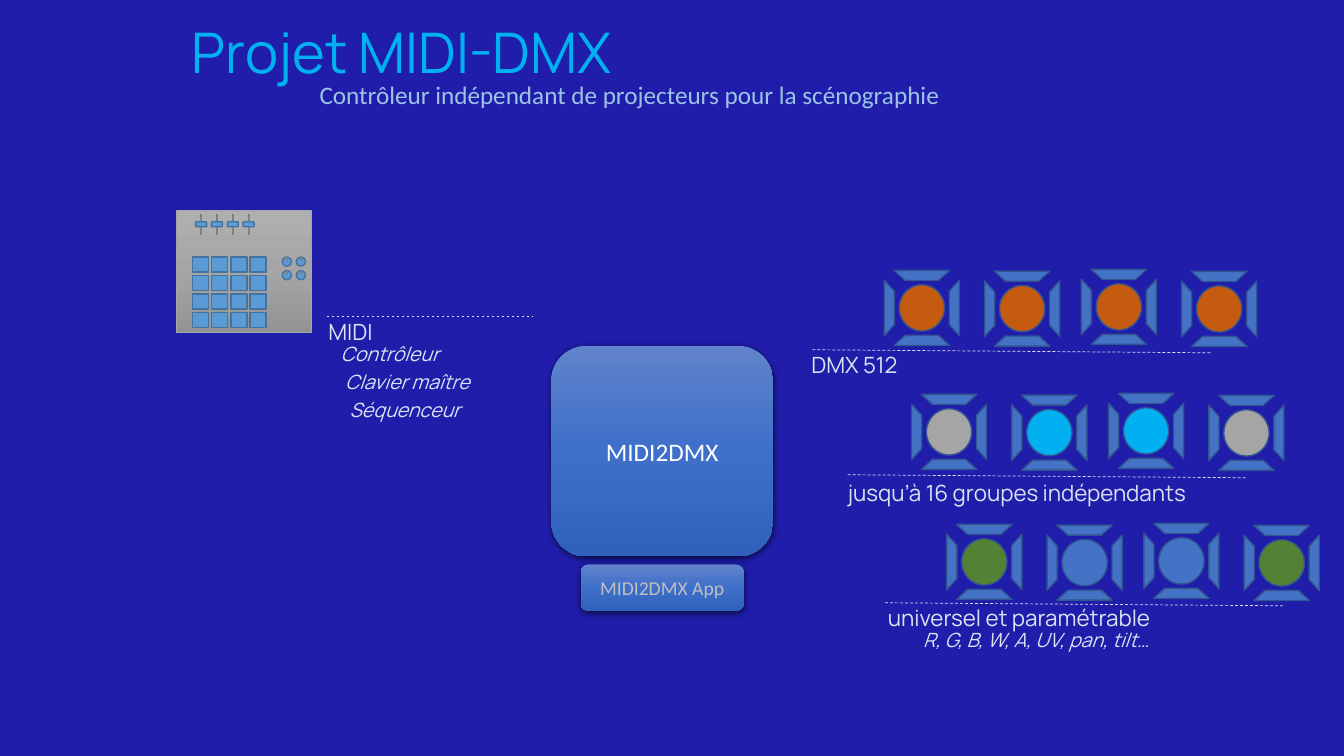
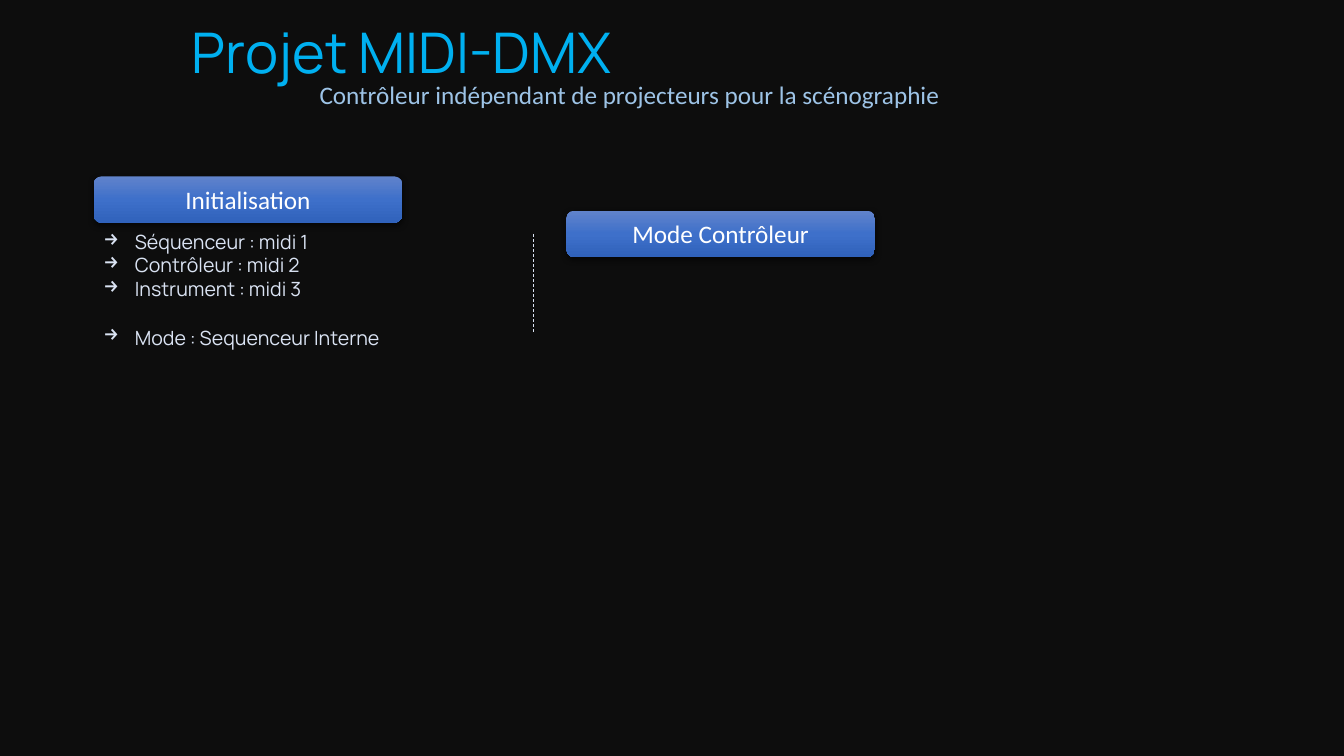
from copy import deepcopy
from dataclasses import dataclass
from math import cos, radians, sin
from typing import NamedTuple

from lxml.etree import SubElement
from pptx import Presentation
from pptx.dml.color import RGBColor
from pptx.enum.dml import MSO_LINE
from pptx.enum.shapes import MSO_CONNECTOR, MSO_SHAPE
from pptx.enum.text import MSO_ANCHOR, MSO_AUTO_SIZE, PP_ALIGN
from pptx.oxml.ns import qn
from pptx.util import Inches, Pt

COLS, ROWS, CELLS_PER_INCH = 133.33, 75, 10


@dataclass(frozen=True)
class Theme:
    heading: str = "Manrope"
    body: str = "Calibri"
    title_size: int = 40
    large: int = 18
    label: int = 16
    small: int = 14
    navy: str = "1F1DAA"
    black: str = "0D0D0D"
    cyan: str = "00B0F0"
    sky: str = "9DC3E6"
    pale: str = "DAE3F3"
    white: str = "FFFFFF"
    silver: str = "BFBFBF"
    grey: str = "A5A5A5"
    track: str = "808080"
    control: str = "5B9BD5"
    control_edge: str = "43739E"
    flap: str = "4472C4"
    flap_edge: str = "325491"
    orange: str = "C55A11"
    green: str = "548235"
    button: tuple = ("6183CB", "3E70CA", "3062BB")
    panel: tuple = ("AFAFAF", "A5A5A5", "939393")


T = Theme()


class Box(NamedTuple):
    x: float
    y: float
    w: float
    h: float

    def sub(self, dx, dy, w, h):
        return Box(self.x + dx, self.y + dy, w, h)

    def emu(self):
        return [cell(n) for n in self]


def cell(n):
    return Inches(n / CELLS_PER_INCH)


def rgb(value):
    return RGBColor.from_string(value)


def write(tf, text, font=T.heading, size=T.small, color=T.pale, italic=False,
          align=PP_ALIGN.LEFT, anchor=MSO_ANCHOR.TOP, spacing=None, bullet=None):
    tf.word_wrap = True
    tf.vertical_anchor = anchor
    for i, line in enumerate(text.split("\n")):
        p = tf.add_paragraph() if i else tf.paragraphs[0]
        p.alignment = align
        if spacing:
            p.line_spacing = spacing
        if bullet:
            pPr = p._p.get_or_add_pPr()
            indent = Inches(0.31)
            pPr.set("marL", str(indent))
            pPr.set("indent", str(-indent))
            SubElement(pPr, qn("a:buChar"), char=bullet)
        r = p.add_run()
        r.text = line
        r.font.name = font
        r.font.size = Pt(size)
        r.font.italic = italic
        r.font.color.rgb = rgb(color)


def add_text(s, box, text, **style):
    tf = s.shapes.add_textbox(*box.emu()).text_frame
    write(tf, text, **style)
    tf.auto_size = MSO_AUTO_SIZE.SHAPE_TO_FIT_TEXT


def paint_gradient(sp, colors):
    sp.fill.gradient()
    sp.fill.gradient_angle = 270
    first = sp.element.xpath(".//a:gs")[0]
    first.addnext(deepcopy(first))
    for i, (stop, color) in enumerate(zip(sp.fill.gradient_stops, colors)):
        stop.position = i / (len(colors) - 1)
        stop.color.rgb = rgb(color)


def add_shape(s, kind, box, fill, edge=None, width=1, rotation=0):
    sp = s.shapes.add_shape(kind, *box.emu())
    sp.shadow.inherit = False
    sp.rotation = rotation
    if isinstance(fill, tuple):
        paint_gradient(sp, fill)
    else:
        sp.fill.solid()
        sp.fill.fore_color.rgb = rgb(fill)
    if edge:
        sp.line.color.rgb = rgb(edge)
        sp.line.width = Pt(width)
    else:
        sp.line.fill.background()
    return sp


def add_line(s, x, y, dx, dy, color=T.pale, width=0.5, dash=MSO_LINE.DASH):
    ln = s.shapes.add_connector(MSO_CONNECTOR.STRAIGHT, cell(x), cell(y),
                                cell(x + dx), cell(y + dy))
    ln.line.color.rgb = rgb(color)
    ln.line.width = Pt(width)
    if dash:
        ln.line.dash_style = dash
    SubElement(ln.element.spPr, qn("a:effectLst"))


def add_button(s, box, text, size=T.large, color=T.white):
    sp = add_shape(s, MSO_SHAPE.ROUNDED_RECTANGLE, box, T.button)
    effects = sp.element.spPr.find(qn("a:effectLst"))
    shadow = SubElement(effects, qn("a:outerShdw"), blurRad=str(Pt(4.5)),
                        dist=str(Pt(1.5)), dir="5400000", algn="ctr", rotWithShape="0")
    black = SubElement(shadow, qn("a:srgbClr"), val="000000")
    SubElement(black, qn("a:alpha"), val="63000")
    write(sp.text_frame, text, font=T.body, size=size, color=color,
          align=PP_ALIGN.CENTER, anchor=MSO_ANCHOR.MIDDLE)


def start_slide(prs, background):
    s = prs.slides.add_slide(prs.slide_layouts[5])
    s.background.fill.solid()
    s.background.fill.fore_color.rgb = rgb(background)
    title = s.shapes.title
    title.left, title.top, title.width, title.height = Box(2, 2.1, 75.7, 6.9).emu()
    title.text_frame.auto_size = MSO_AUTO_SIZE.NONE
    write(title.text_frame, "Projet MIDI-DMX", size=T.title_size, color=T.cyan,
          align=PP_ALIGN.CENTER, anchor=MSO_ANCHOR.BOTTOM, spacing=0.9)
    add_text(s, Box(22.9, 7.7, 79.1, 4.6),
             "Contrôleur indépendant de projecteurs pour la scénographie",
             font=T.body, size=T.large, color=T.sky, align=PP_ALIGN.CENTER, spacing=0.9)
    return s


def draw_controller(s, box):
    add_shape(s, MSO_SHAPE.RECTANGLE, box, T.panel, T.grey, 0.5)
    for row in range(4):
        for col in range(4):
            pad = box.sub(1.6 + 1.9 * col, 4.6 + 1.83 * row, 1.6, 1.5)
            add_shape(s, MSO_SHAPE.RECTANGLE, pad, T.control, T.control_edge)
    for row in range(2):
        for col in range(2):
            knob = box.sub(10.5 + 1.4 * col, 4.6 + 1.35 * row, 0.9, 0.9)
            add_shape(s, MSO_SHAPE.OVAL, knob, T.control, T.control_edge)
            add_line(s, knob.x + knob.w / 2, knob.y, 0, 0.4, T.track, 1.5, None)
    for col in range(4):
        fader = box.sub(1.9 + 1.57 * col, 1.1, 1.1, 0.5)
        add_line(s, fader.x + fader.w / 2, box.y + 0.3, 0, 2.1, T.track, 1.5, None)
        add_shape(s, MSO_SHAPE.ROUNDED_RECTANGLE, fader, T.control, T.control_edge)


def draw_projector(s, box, color):
    lens_w, lens_h, flap_w, flap_h, reach = 4.5, 4.6, 5.5, 1, 3.22
    cx, cy = box.w / 2, box.h / 2
    lens = box.sub(cx - lens_w / 2, cy - lens_h / 2, lens_w, lens_h)
    add_shape(s, MSO_SHAPE.OVAL, lens, color, T.flap_edge)
    for angle in range(0, 360, 90):
        flap = box.sub(cx + reach * sin(radians(angle)) - flap_w / 2,
                       cy - reach * cos(radians(angle)) - flap_h / 2, flap_w, flap_h)
        add_shape(s, MSO_SHAPE.FLOWCHART_MANUAL_OPERATION, flap, T.flap,
                  T.flap_edge, rotation=angle)


def draw_projector_row(s, box, colors, rule, caption, text):
    places = ((0, 0), (9.95, 0.07), (19.55, -0.1), (29.5, 0.1))
    for (dx, dy), color in zip(places, colors):
        draw_projector(s, box.sub(dx, dy, box.h, box.h), color)
    add_line(s, *rule, 39.6, 0.3)
    add_text(s, Box(*caption, 49, 3.7), text, size=T.label)


def draw_midi_input(s, box):
    add_line(s, box.x + 0.8, box.y + 0.3, box.w, 0)
    add_text(s, box.sub(0, 0, 14.1, 3.7), "MIDI", size=T.label)
    sources = ("Contrôleur", "Clavier maître", "Séquenceur")
    for i, source in enumerate(sources):
        add_text(s, box.sub(1.2 + 0.45 * i, 2.3 + 2.8 * i, 17.6, 3.4), source, italic=True)


def build_overview(prs):
    s = start_slide(prs, T.navy)
    add_button(s, Box(54.7, 34.3, 22, 20.9), "MIDI2DMX")
    add_button(s, Box(57.6, 56, 16.2, 4.6), "MIDI2DMX App", T.small, T.silver)
    draw_controller(s, Box(17.5, 20.9, 13.4, 12.1))
    draw_midi_input(s, Box(31.6, 31.1, 20.5, 11.3))
    rows = (
        (87.7, 26.8, (T.orange,) * 4, (80.6, 34.7), (79.5, 34.3), "DMX 512"),
        (90.4, 39.1, (T.grey, T.cyan, T.cyan, T.grey), (84.1, 47.1), (83.1, 47),
         "jusqu’à 16 groupes indépendants"),
        (93.9, 52, (T.green, T.flap, T.flap, T.green), (87.8, 59.8), (87.1, 59.4),
         "universel et paramétrable"),
    )
    for x, y, *parts in rows:
        draw_projector_row(s, Box(x, y, 37, 7.5), *parts)
    add_text(s, Box(90.6, 61.8, 42.7, 3.4), "R, G, B, W, A, UV, pan, tilt…", italic=True)


def draw_settings(s, box):
    add_button(s, box.sub(0, 0, box.w, 4.6), "Initialisation")
    add_text(s, box.sub(0, 4.8, box.w, 8.1),
             "Séquenceur : midi 1\nContrôleur : midi 2\nInstrument : midi 3", bullet="→")
    add_text(s, box.sub(0, 14.3, box.w, 3.4), "Mode : Sequenceur Interne", bullet="→")


def build_modes(prs):
    s = start_slide(prs, T.black)
    draw_settings(s, Box(9.3, 17.5, 30.6, 17.7))
    add_line(s, 52.9, 23.2, 0, 9.8)
    add_button(s, Box(56.2, 20.9, 30.6, 4.6), "Mode Contrôleur")


prs = Presentation()
prs.slide_width, prs.slide_height = cell(COLS), cell(ROWS)
build_overview(prs)
build_modes(prs)
prs.save("out.pptx")
